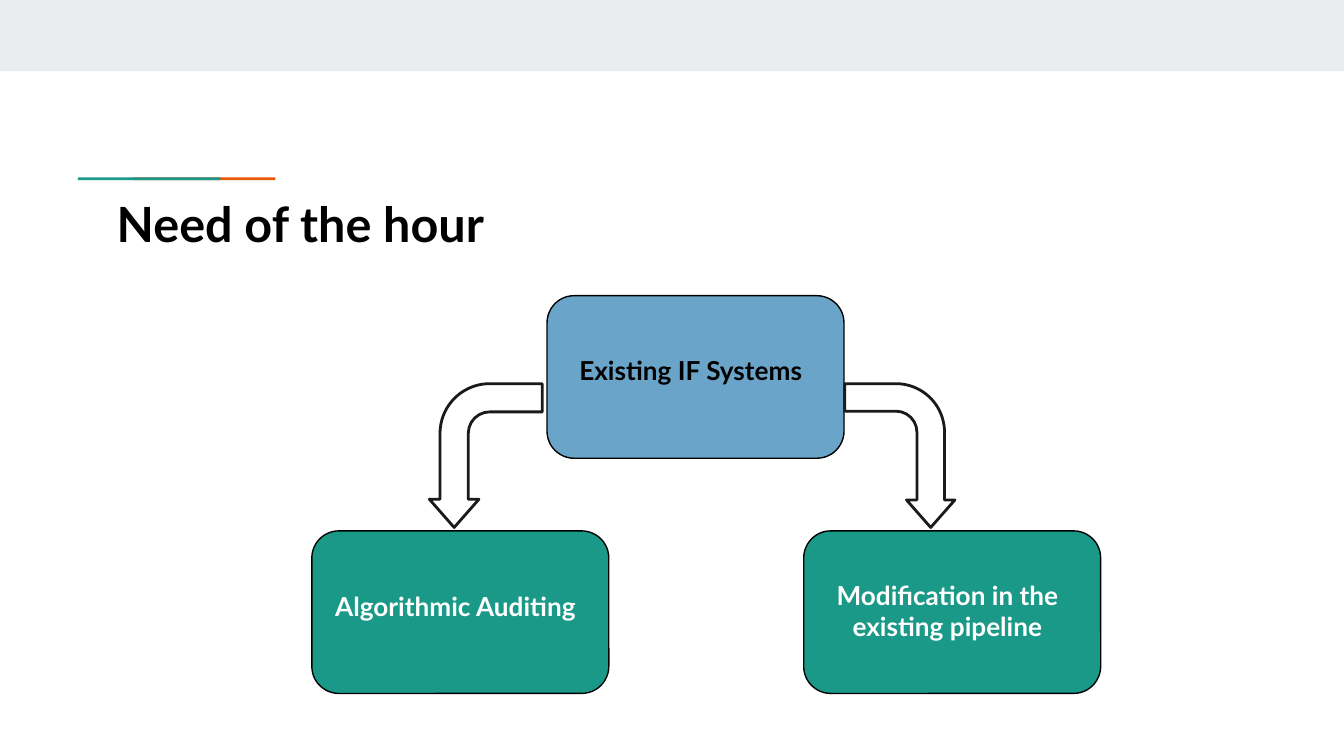
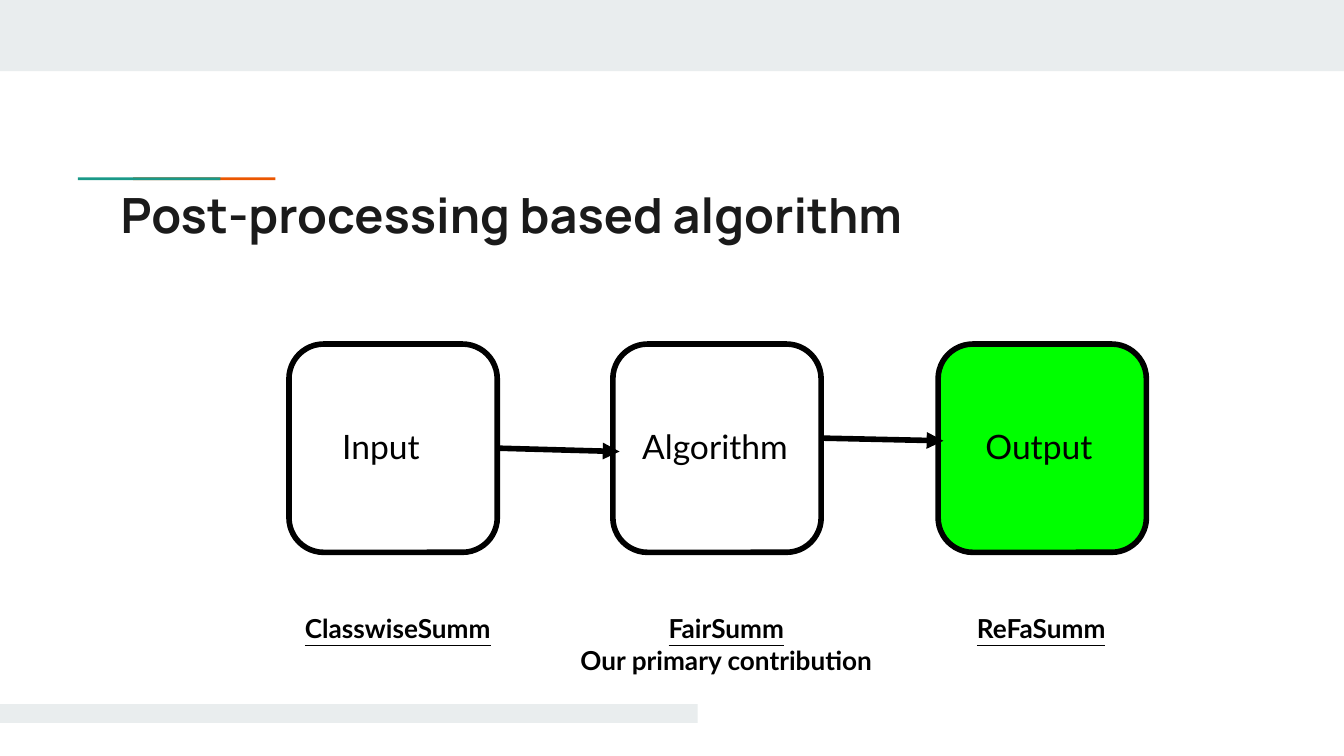
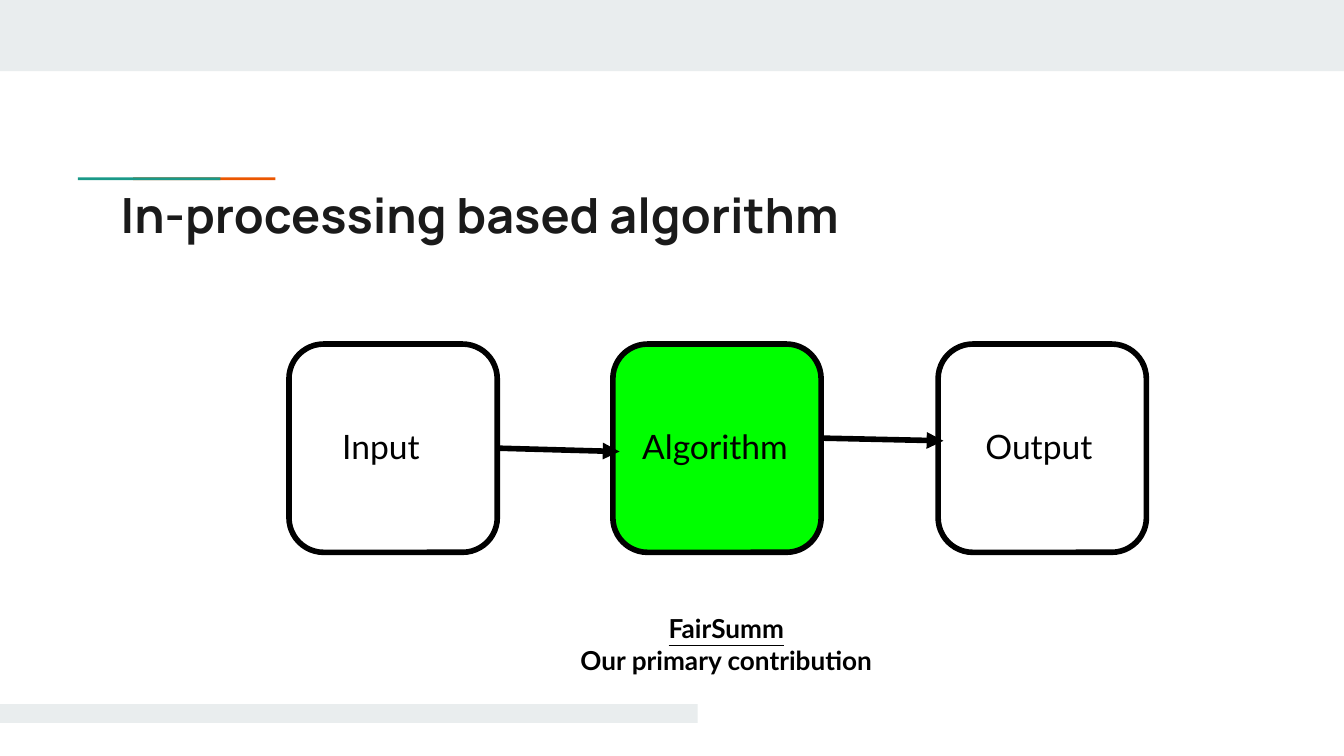
from lxml import etree
from pptx import Presentation
from pptx.dml.color import RGBColor
from pptx.enum.shapes import MSO_CONNECTOR, MSO_SHAPE
from pptx.enum.text import PP_ALIGN
from pptx.oxml.ns import qn
from pptx.util import Inches, Pt

RECT = MSO_SHAPE.RECTANGLE
ROUNDED = MSO_SHAPE.ROUNDED_RECTANGLE
BENT_ARROW = MSO_SHAPE.BENT_ARROW
STRAIGHT = MSO_CONNECTOR.STRAIGHT
LEFT = PP_ALIGN.LEFT
CENTER = PP_ALIGN.CENTER

BLACK = RGBColor(0x00, 0x00, 0x00)
INK = RGBColor(0x1A, 0x1A, 0x1A)
WHITE = RGBColor(0xFF, 0xFF, 0xFF)
GREY = RGBColor(0xE9, 0xED, 0xEE)
TEAL = RGBColor(0x1A, 0x99, 0x88)
ORANGE = RGBColor(0xEB, 0x56, 0x00)
BLUE = RGBColor(0x6A, 0xA4, 0xC8)
GREEN = RGBColor(0x00, 0xFF, 0x00)

BODY_FONT = "Lato"
TITLE_FONT = "Manrope"

STAGE_SIZE = 1.55
STAGE_TOP = 2.56
STAGES = [
    ("Input", 2.15, 2.31, 1.05),
    ("Algorithm", 4.56, 4.61, 1.42),
    ("Output", 6.98, 7.02, 1.42),
]


def add_box(s, kind, x, y, w, h, fill=None, line=None, weight=0.75):
    """Add a preset shape with an optional fill and outline."""
    sp = s.shapes.add_shape(kind, Inches(x), Inches(y), Inches(w), Inches(h))
    sp.shadow.inherit = False
    if fill is None:
        sp.fill.background()
    else:
        sp.fill.solid()
        sp.fill.fore_color.rgb = fill
    if line is None:
        sp.line.fill.background()
    else:
        sp.line.color.rgb = line
        sp.line.width = Pt(weight)
    return sp


def add_text(s, lines, x, y, w, h, size=14, color=BLACK, font=BODY_FONT,
             bold=True, align=CENTER, underline_first=False):
    """Add a wrapped text box with one paragraph per line."""
    tf = s.shapes.add_textbox(Inches(x), Inches(y), Inches(w), Inches(h)).text_frame
    tf.word_wrap = True
    tf.margin_left = tf.margin_right = Inches(0.1)
    tf.margin_top = tf.margin_bottom = Inches(0.1)
    for i, line in enumerate(lines):
        p = tf.paragraphs[0] if i == 0 else tf.add_paragraph()
        p.alignment = align
        r = p.add_run()
        r.text = line
        r.font.name = font
        r.font.size = Pt(size)
        r.font.bold = bold
        r.font.underline = underline_first and i == 0
        r.font.color.rgb = color


def add_title(s, title, x, y, w, h, color=INK, font=TITLE_FONT):
    """Add the slide title."""
    add_text(s, [title], x, y, w, h, 26, color, font, align=LEFT)


def add_bent_arrow(s, x, y, w, h, rotation, flip=False):
    """Add an outlined bent arrow, rotated and optionally mirrored."""
    sp = add_box(s, BENT_ARROW, x, y, w, h, line=INK, weight=1.5)
    for i, value in enumerate((0.25, 0.22, 0.25, 0.44)):
        sp.adjustments[i] = value
    sp.rotation = rotation
    if flip:
        sp._element.spPr.find(qn("a:xfrm")).set("flipH", "1")


def add_arrow(s, x1, y1, x2, y2, source=None):
    """Add a thick arrow, joined to the right side of a source box if given."""
    c = s.shapes.add_connector(STRAIGHT, Inches(x1), Inches(y1), Inches(x2), Inches(y2))
    if source is not None:
        c.begin_connect(source, 3)
    c.line.color.rgb = BLACK
    c.line.width = Pt(3)
    etree.SubElement(c.line._get_or_add_ln(), qn("a:tailEnd"), type="triangle")
    etree.SubElement(c._element.spPr, qn("a:effectLst"))


def add_base_slide(prs):
    """Add a blank slide with the top band and the two-colour rule."""
    s = prs.slides.add_slide(prs.slide_layouts[6])
    add_box(s, RECT, 0, 0, 10, 0.53, GREY)
    for x, color in ((0.99, ORANGE), (0.58, TEAL)):
        add_box(s, RECT, x, 1.32, 1.06, 0.02, color)
    return s


def add_need_slide(prs):
    """Add the slide that splits existing systems into two approaches."""
    s = add_base_slide(prs)
    nodes = [
        ("Algorithmic Auditing", 2.32, 3.95, 0.34, TEAL, WHITE),
        ("Modification in the existing pipeline", 5.98, 3.95, 0.26, TEAL, WHITE),
        ("Existing IF Systems", 4.07, 2.2, 0.34, BLUE, BLACK),
    ]
    for label, x, y, drop, fill, color in nodes:
        add_box(s, ROUNDED, x, y, 2.21, 1.21, fill, BLACK)
        add_text(s, [label], x + 0.07, y + drop, 2, 0.94, color=color)
    add_bent_arrow(s, 6.16, 2.98, 1.07, 0.82, 90)
    add_bent_arrow(s, 3.08, 2.97, 1.07, 0.84, 270, flip=True)
    add_title(s, "Need of the hour", 0.77, 1.34, 8.03, 0.94, BLACK, BODY_FONT)


def add_pipeline_slide(prs, title, active, captions):
    """Add a three-stage pipeline with one highlighted stage and captions."""
    s = add_base_slide(prs)
    boxes = [
        add_box(s, ROUNDED, x, STAGE_TOP, STAGE_SIZE, STAGE_SIZE,
                GREEN if name == active else None, BLACK, 3)
        for name, x, _, _ in STAGES
    ]
    for name, _, x, w in STAGES:
        add_text(s, [name], x, 3.07, w, 0.59, 18, bold=False)
    add_arrow(s, 3.7, 3.34, 4.61, 3.36, boxes[0])
    add_arrow(s, 6.11, 3.26, 7.02, 3.28)
    add_box(s, RECT, 0, 5.24, 5.19, 0.14, GREY)
    add_title(s, title, 0.8, 1.28, 8.41, 0.59)
    for lines, x, w, align in captions:
        add_text(s, lines, x, 4.46, w, 0.54, align=align, underline_first=True)


def main():
    """Build and save the presentation."""
    prs = Presentation()
    prs.slide_width = Inches(10)
    prs.slide_height = Inches(10 * 9 / 16)
    fair = (["FairSumm", "Our primary contribution"], 4.09, 2.63, CENTER)
    refa = (["ReFaSumm"], 7.17, 1.69, LEFT)
    classwise = (["ClasswiseSumm"], 2.17, 1.69, LEFT)
    add_need_slide(prs)
    add_pipeline_slide(prs, "Post-processing based algorithm", "Output",
                       [refa, classwise, fair])
    add_pipeline_slide(prs, "In-processing based algorithm", "Algorithm", [fair])
    prs.save("out.pptx")


if __name__ == "__main__":
    main()
